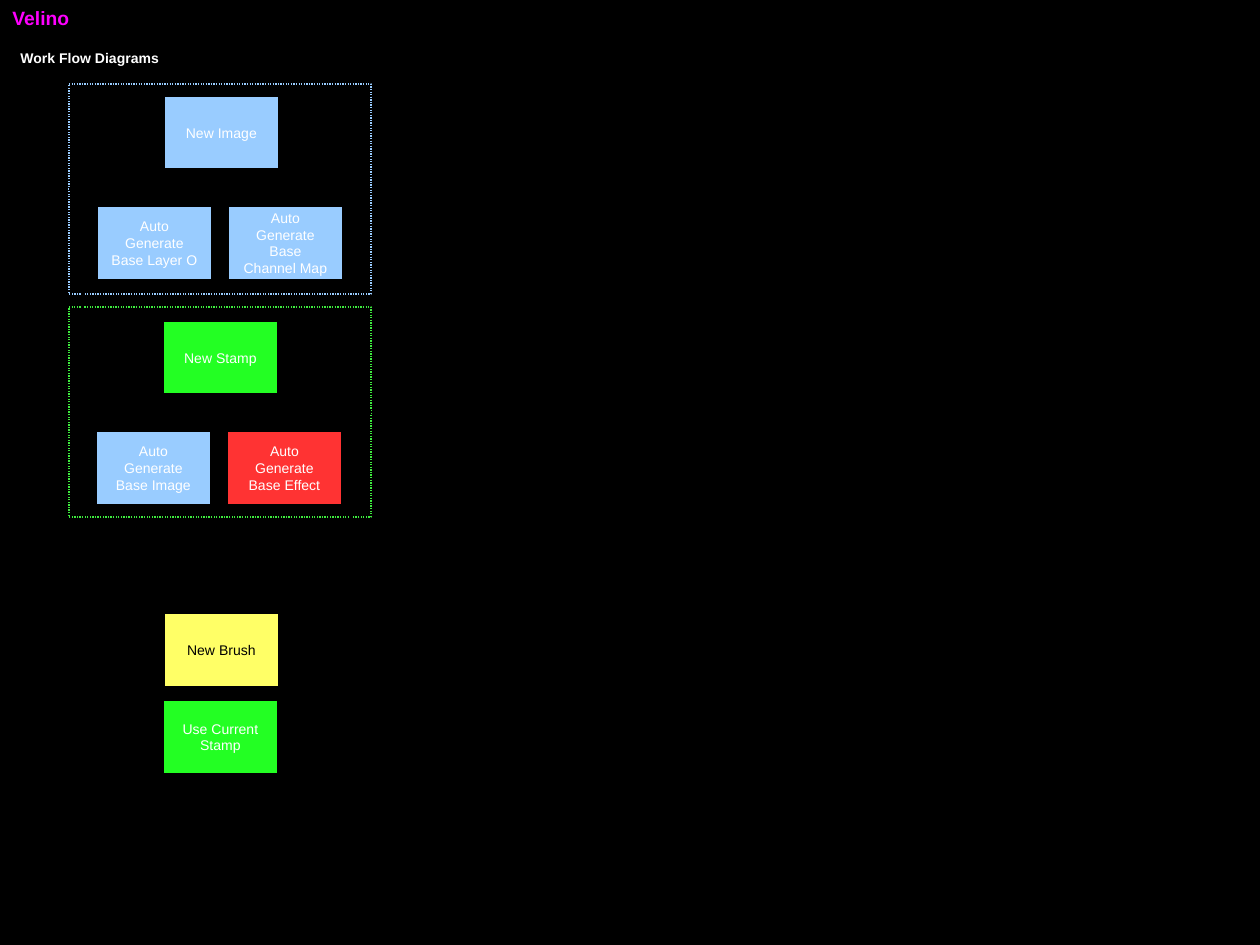
from pptx import Presentation
from pptx.dml.color import RGBColor
from pptx.enum.dml import MSO_LINE
from pptx.enum.shapes import MSO_CONNECTOR, MSO_SHAPE
from pptx.enum.text import MSO_ANCHOR, MSO_AUTO_SIZE, PP_ALIGN
from pptx.oxml.ns import qn
from pptx.util import Emu, Pt
from lxml.etree import SubElement

COLORS = {
    "black": "000000", "white": "FFFFFF", "magenta": "FF00FF", "blue": "99CCFF",
    "green": "23FF23", "frame_green": "3DEB3D", "red": "FF3333", "yellow": "FFFF66",
}
BOX_WIDTH, BOX_HEIGHT = 115, 74
FRAME_LEFT, FRAME_WIDTH, FRAME_HEIGHT = 69, 302, 210


def px(length):
    return Emu(round(length * 914400 / 126))


def color(name):
    return RGBColor.from_string(COLORS[name])


class WorkFlowSlide:
    """Draws the boxes, frames and connectors of a work flow on one slide."""

    def __init__(self, presentation, font="Arial"):
        self.font = font
        self.slide = presentation.slides.add_slide(presentation.slide_layouts[6])
        self.slide.background.fill.solid()
        self.slide.background.fill.fore_color.rgb = color("black")

    def run(self, paragraph, text, size, text_color, bold=False):
        run = paragraph.add_run()
        run.text = text
        run.font.name = self.font
        run.font.size = Pt(size)
        run.font.bold = bold
        run.font.color.rgb = color(text_color)

    def heading(self, text, left, top, width, height, size, text_color):
        shape = self.slide.shapes.add_textbox(px(left), px(top), px(width), px(height))
        shape.text_frame.word_wrap = False
        shape.text_frame.auto_size = MSO_AUTO_SIZE.SHAPE_TO_FIT_TEXT
        self.run(shape.text_frame.paragraphs[0], text, size, text_color, bold=True)

    def outline(self, left, top, width, height, rounding, line_color):
        shape = self.slide.shapes.add_shape(
            MSO_SHAPE.ROUNDED_RECTANGLE, px(left), px(top), px(width), px(height))
        shape.adjustments[0] = rounding
        shape.shadow.inherit = False
        shape.line.color.rgb = color(line_color)
        shape.line.width = Pt(0.75)
        return shape

    def frame(self, top, line_color):
        shape = self.outline(FRAME_LEFT, top, FRAME_WIDTH, FRAME_HEIGHT, 0, line_color)
        shape.fill.background()
        shape.line.dash_style = MSO_LINE.ROUND_DOT
        return shape

    def box(self, lines, left, top, fill, text_color="white"):
        shape = self.outline(left, top, BOX_WIDTH, BOX_HEIGHT, 0, "black")
        shape.fill.solid()
        shape.fill.fore_color.rgb = color(fill)
        text_frame = shape.text_frame
        text_frame.word_wrap = True
        text_frame.vertical_anchor = MSO_ANCHOR.MIDDLE
        for index, line in enumerate(lines):
            paragraph = text_frame.add_paragraph() if index else text_frame.paragraphs[0]
            paragraph.alignment = PP_ALIGN.CENTER
            self.run(paragraph, line, 8, text_color)
        return shape

    def elbow(self, start, start_site, end=None, end_site=0, end_point=(0, 0), bends=2):
        connector = self.slide.shapes.add_connector(
            MSO_CONNECTOR.ELBOW, 0, 0, px(end_point[0]), px(end_point[1]))
        connector.begin_connect(start, start_site)
        if end is not None:
            connector.end_connect(end, end_site)
        connector.line.color.rgb = color("black")
        connector.line.width = Pt(0)
        properties = connector._element.spPr
        properties.find(qn("a:prstGeom")).set("prst", f"bentConnector{bends + 1}")
        SubElement(properties, qn("a:effectLst"))

    def tree(self, left, top, parent, children):
        root = self.box(parent[0], left + 67, top, parent[1])
        boxes = [self.box(lines, left + index * 131, top + 110, fill)
                 for index, (lines, fill) in enumerate(children)]
        for child in boxes:
            self.elbow(root, 2, child, 0, bends=1)
        return boxes


def main():
    presentation = Presentation()
    presentation.slide_width, presentation.slide_height = px(1260), px(945)
    diagram = WorkFlowSlide(presentation)

    image_frame = diagram.frame(84, "blue")
    diagram.heading("Velino", 0, 0, 82, 37, 11, "magenta")
    diagram.heading("Work Flow Diagrams", 8, 43, 164, 30, 8, "white")
    diagram.tree(97, 96, (["New Image"], "blue"), [
        (["Auto Generate", "Base Layer O"], "blue"),
        (["Auto Generate", "Base", "Channel Map"], "blue"),
    ])

    stamp_frame = diagram.frame(307, "frame_green")
    base_image, _ = diagram.tree(96, 321, (["New Stamp"], "green"), [
        (["Auto Generate", "Base Image"], "blue"),
        (["Auto Generate", "Base Effect"], "red"),
    ])
    diagram.elbow(image_frame, 1, base_image, 1)

    diagram.box(["New Brush"], 164, 613, "yellow", "black")
    diagram.box(["Use Current", "Stamp"], 163, 700, "green")
    diagram.elbow(stamp_frame, 3, end_point=(331, 686))
    presentation.save("out.pptx")


if __name__ == "__main__":
    main()
